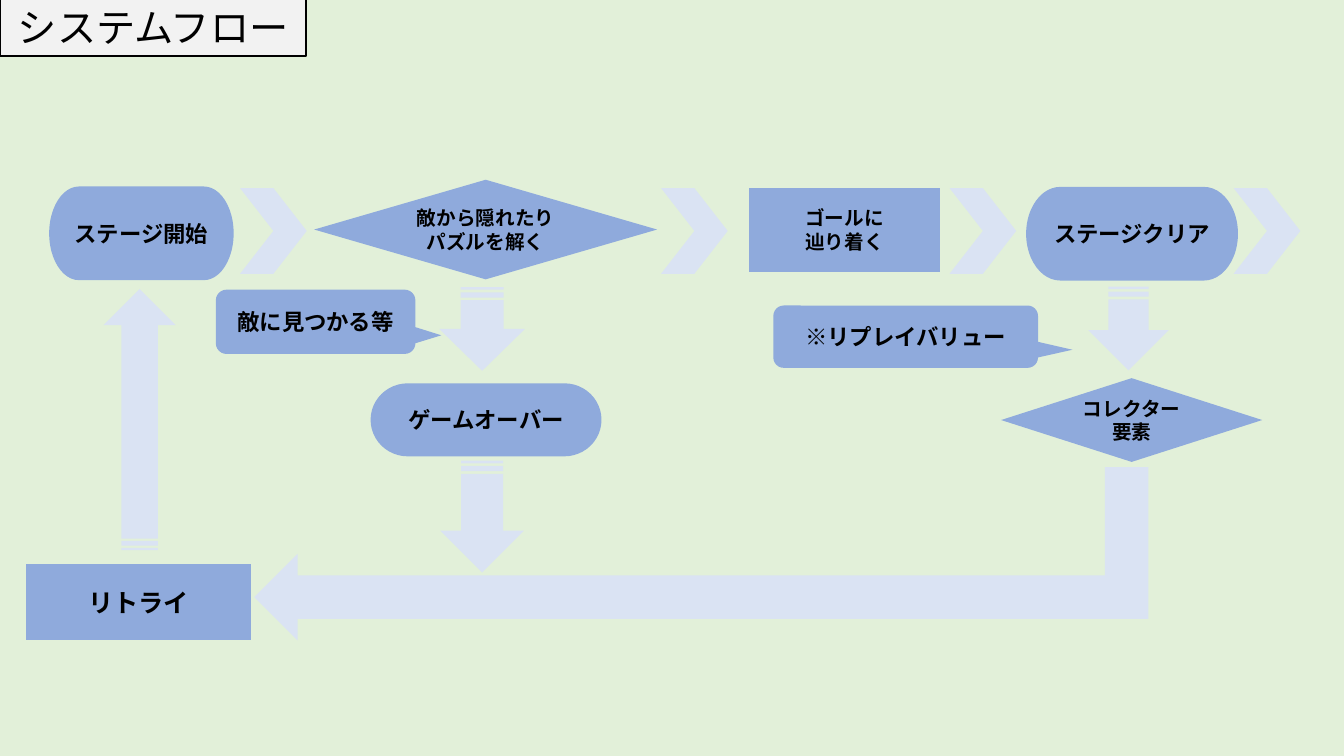
from dataclasses import dataclass

from lxml.etree import SubElement
from pptx import Presentation
from pptx.dml.color import RGBColor
from pptx.enum.shapes import MSO_SHAPE
from pptx.enum.text import MSO_ANCHOR, PP_ALIGN
from pptx.oxml.ns import qn
from pptx.util import Cm, Pt


@dataclass(frozen=True)
class Theme:
    background: str = "E2F0D9"
    step: str = "8FAADC"
    arrow: str = "DAE3F3"
    title_fill: str = "F2F2F2"
    ink: str = "000000"
    font: str = "Calibri"
    title_font: str = "Noto Sans CJK JP"
    title: int = 28
    large: int = 18
    body: int = 16
    small: int = 14


theme = Theme()


def add_shape(kind, left, top, width, height, fill, rotation=0):
    s = slide.shapes.add_shape(kind, Cm(left), Cm(top), Cm(width), Cm(height))
    s.shadow.inherit = False
    s.fill.solid()
    s.fill.fore_color.rgb = RGBColor.from_string(fill)
    s.line.fill.background()
    s.rotation = rotation
    return s


def write(s, text, size=theme.body, font=theme.font, bold=True):
    tf = s.text_frame
    tf.word_wrap = True
    tf.vertical_anchor = MSO_ANCHOR.MIDDLE
    tf.margin_top = tf.margin_bottom = 0
    for i, line in enumerate(text.split("\n")):
        p = tf.paragraphs[0] if i == 0 else tf.add_paragraph()
        p.alignment = PP_ALIGN.CENTER
        r = p.add_run()
        r.text = line
        r.font.size = Pt(size)
        r.font.bold = bold
        r.font.color.rgb = RGBColor.from_string(theme.ink)
        r.font.name = font
        # Japanese letters take the East Asian font
        SubElement(r.font._element, qn("a:ea"), typeface=font)


prs = Presentation()
prs.slide_width, prs.slide_height = Cm(33.87), Cm(19.05)
slide = prs.slides.add_slide(prs.slide_layouts[6])
slide.background.fill.solid()
slide.background.fill.fore_color.rgb = RGBColor.from_string(theme.background)

# Steps of the flow
TERMINATOR = MSO_SHAPE.FLOWCHART_TERMINATOR
PROCESS = MSO_SHAPE.FLOWCHART_PROCESS
DECISION = MSO_SHAPE.FLOWCHART_DECISION
steps = [
    (TERMINATOR, 1.24, 4.7, 4.65, 2.36, "ステージ開始", theme.body),
    (DECISION, 7.92, 4.53, 8.64, 2.51, "敵から隠れたり\nパズルを解く", theme.small),
    (PROCESS, 18.88, 4.73, 4.81, 2.12, "ゴールに\n辿り着く", theme.small),
    (TERMINATOR, 25.86, 4.71, 5.34, 2.36, "ステージクリア", theme.body),
    (DECISION, 25.23, 9.53, 6.58, 2.11, "コレクター\n要素", theme.small),
    (TERMINATOR, 9.34, 9.66, 5.82, 1.84, "ゲームオーバー", theme.body),
    (PROCESS, 0.65, 14.21, 5.68, 1.92, "リトライ", theme.large),
]
for kind, left, top, width, height, text, size in steps:
    write(add_shape(kind, left, top, width, height, theme.step), text, size=size)

# Chevrons along the top row
for left in (6.05, 16.66, 23.93, 31.09):
    add_shape(MSO_SHAPE.CHEVRON, left, 4.74, 1.68, 2.16, theme.arrow)

# Striped arrows, turned about their centres: 90 points down, 270 points up
for x, y, length, width, turn in [
    (12.15, 8.29, 2.11, 2.16, 90),
    (12.15, 13.02, 2.82, 2.11, 90),
    (28.44, 8.28, 2.11, 2.03, 90),
    (3.52, 10.57, 6.58, 1.83, 270),
]:
    add_shape(MSO_SHAPE.STRIPED_RIGHT_ARROW, x - length / 2, y - width / 2,
              length, width, theme.arrow, rotation=turn)

# Bent arrow back to the retry step
s = add_shape(MSO_SHAPE.BENT_UP_ARROW, 15.49, 2.69, 4.37, 22.53, theme.arrow, rotation=90)
s._element.spPr.get_or_add_xfrm().set("flipV", "1")

# Callouts with the tail on the right
for left, top, width, height, text in [
    (5.44, 7.3, 5.03, 1.62, "敵に見つかる等"),
    (19.49, 7.7, 6.67, 1.57, "※リプレイバリュー"),
]:
    s = add_shape(MSO_SHAPE.ROUNDED_RECTANGULAR_CALLOUT, left, top, width, height, theme.step)
    s.adjustments[0], s.adjustments[1] = 0.63, 0.21
    write(s, text)

# Title
s = add_shape(MSO_SHAPE.RECTANGLE, 0, -0.04, 7.72, 1.45, theme.title_fill)
s.line.color.rgb = RGBColor.from_string(theme.ink)
s.line.width = Pt(1.5)
write(s, "システムフロー", size=theme.title, font=theme.title_font, bold=False)

prs.save("out.pptx")
